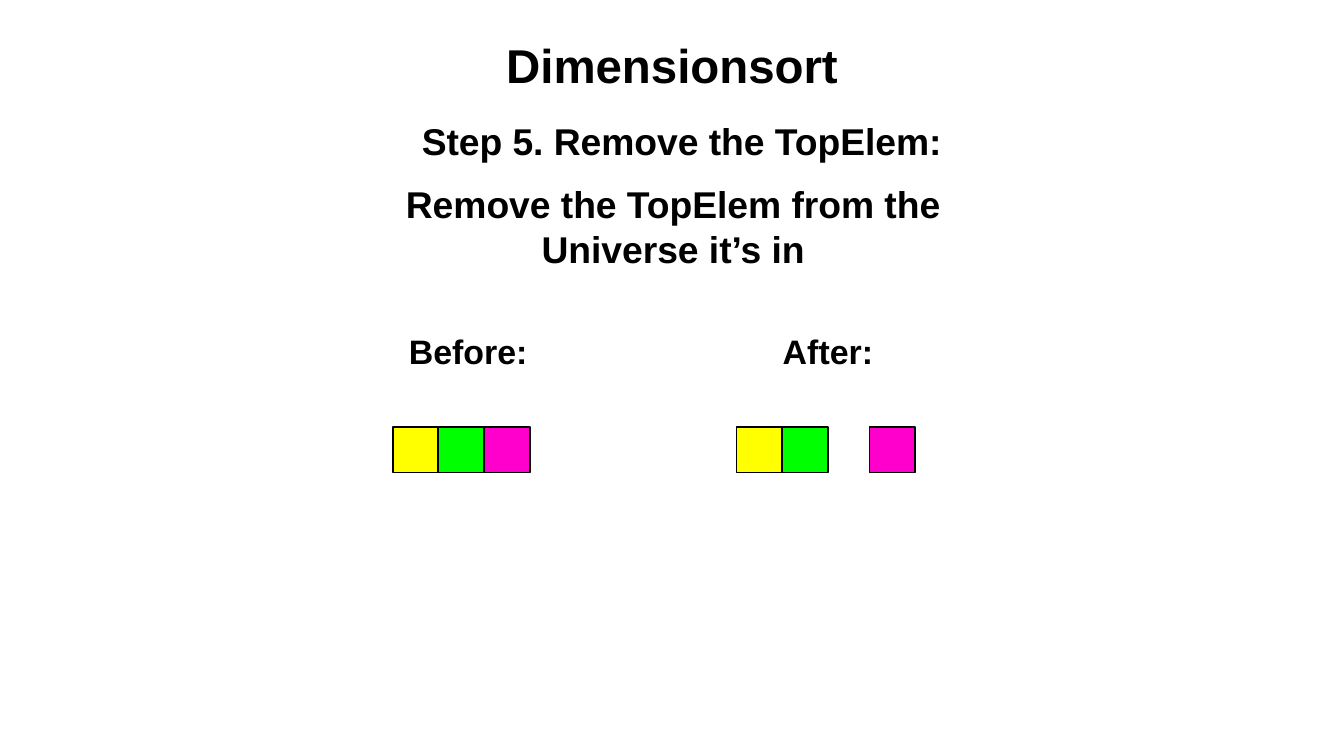
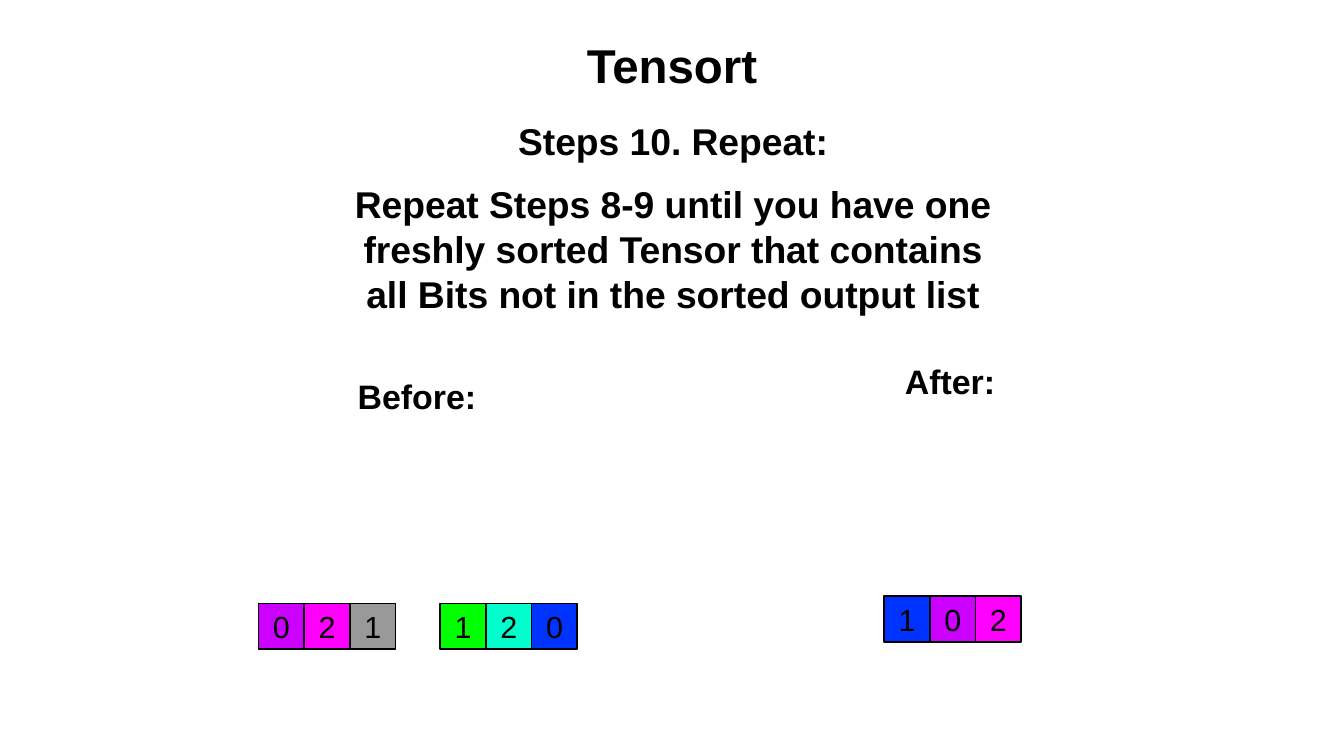
import pptx
import pptx.util
import pptx.dml.color
import pptx.enum.shapes
import pptx.enum.text

# Theme: colours, type styles and the fixed places, in percent of the slide
ALIGN = pptx.enum.text.PP_ALIGN
ANCHOR = pptx.enum.text.MSO_ANCHOR
THEME = {
    "font": "Arial",
    "ink": "000000",
    "yellow": "FFFF00", "green": "00FF00", "rose": "FF00CC",
    "violet": "CC00FF", "magenta": "FF00FF", "grey": "999999",
    "aqua": "00FFCC", "blue": "0033FF",
    "title": {"size": 28, "bold": True, "align": ALIGN.CENTER, "anchor": ANCHOR.MIDDLE, "inset": (0, 0)},
    "label": {"size": 20, "bold": True, "align": ALIGN.CENTER, "anchor": ANCHOR.MIDDLE, "inset": (0, 0)},
    "step": {"size": 22, "bold": True, "align": ALIGN.LEFT, "anchor": ANCHOR.TOP, "inset": (0.1, 0.05)},
    "body": {"size": 22, "bold": True, "align": ALIGN.CENTER, "anchor": ANCHOR.TOP, "inset": (0.1, 0.05)},
    "digit": {"size": 18, "bold": False, "align": ALIGN.CENTER, "anchor": ANCHOR.MIDDLE, "inset": (0, 0)},
}
CELL = 3.4  # side of a square, in percent of the width
LABEL_SIZE = (17.42, 12.1)

prs = pptx.Presentation()
prs.slide_width = pptx.util.Inches(11.02)
prs.slide_height = pptx.util.Inches(6.2)
COL, ROW = prs.slide_width / 100, prs.slide_height / 100


def set_text(sp, lines, style):
    fmt, tf = THEME[style], sp.text_frame
    dx, dy = (pptx.util.Inches(v) for v in fmt["inset"])
    frame = {"word_wrap": True, "vertical_anchor": fmt["anchor"], "margin_left": dx,
             "margin_right": dx, "margin_top": dy, "margin_bottom": dy}
    for name, value in frame.items():
        setattr(tf, name, value)
    font = {"name": THEME["font"], "size": pptx.util.Pt(fmt["size"]), "bold": fmt["bold"]}
    for i, line in enumerate(lines):
        p = tf.add_paragraph() if i else tf.paragraphs[0]
        p.alignment = fmt["align"]
        r = p.add_run()
        r.text = line
        for name, value in font.items():
            setattr(r.font, name, value)
        r.font.color.rgb = pptx.dml.color.RGBColor.from_string(THEME["ink"])


def add_text(s, box, lines, style):
    x, y, w, h = box
    sp = s.shapes.add_textbox(int(x * COL), int(y * ROW), int(w * COL), int(h * ROW))
    set_text(sp, lines, style)


# Content: each group of squares is left, top and its (colour, digit) cells
SLIDES = [
    {
        "title": "Dimensionsort",
        "step": (30.49, "Step 5. Remove the TopElem:"),
        "body": ["Remove the TopElem from the", "Universe it’s in"],
        "labels": [(26.13, 40.32, "Before:"), (52.9, 40.32, "After:")],
        "groups": [
            (29.22, 56.45, [("yellow", ""), ("green", ""), ("rose", "")]),
            (54.81, 56.45, [("yellow", ""), ("green", "")]),
            (64.7, 56.45, [("rose", "")]),
        ],
    },
    {
        "title": "Tensort",
        "step": (37.66, "Steps 10. Repeat:"),
        "body": ["Repeat Steps 8-9 until you have one",
                 "freshly sorted Tensor that contains",
                 "all Bits not in the sorted output list"],
        "labels": [(22.32, 46.29, "Before:"), (61.98, 44.35, "After:")],
        "groups": [
            (19.24, 79.84, [("violet", "0"), ("magenta", "2"), ("grey", "1")]),
            (32.76, 79.84, [("green", "1"), ("aqua", "2"), ("blue", "0")]),
            (65.79, 78.87, [("blue", "1"), ("violet", "0"), ("magenta", "2")]),
        ],
    },
]

for content in SLIDES:
    s = prs.slides.add_slide(prs.slide_layouts[6])

    # Title, step and explanation
    add_text(s, (5, 0.16, 90, 16.8), [content["title"]], "title")
    left, step = content["step"]
    add_text(s, (left, 14.84, 54.08, 12.58), [step], "step")
    add_text(s, (18.51, 23.23, 63.16, 3 + 5 * len(content["body"])), content["body"], "body")

    # Before and after labels
    for left, top, label in content["labels"]:
        add_text(s, (left, top, *LABEL_SIZE), [label], "label")

    # Rows of touching squares
    for left, top, cells in content["groups"]:
        for i, (colour, digit) in enumerate(cells):
            side = int(CELL * COL)
            sp = s.shapes.add_shape(pptx.enum.shapes.MSO_SHAPE.RECTANGLE,
                                    int((left + i * CELL) * COL), int(top * ROW), side, side)
            sp.shadow.inherit = False
            sp.fill.solid()
            sp.fill.fore_color.rgb = pptx.dml.color.RGBColor.from_string(THEME[colour])
            sp.line.color.rgb = pptx.dml.color.RGBColor.from_string(THEME["ink"])
            sp.line.width = pptx.util.Pt(1)
            if digit:
                set_text(sp, [digit], "digit")

prs.save("out.pptx")
